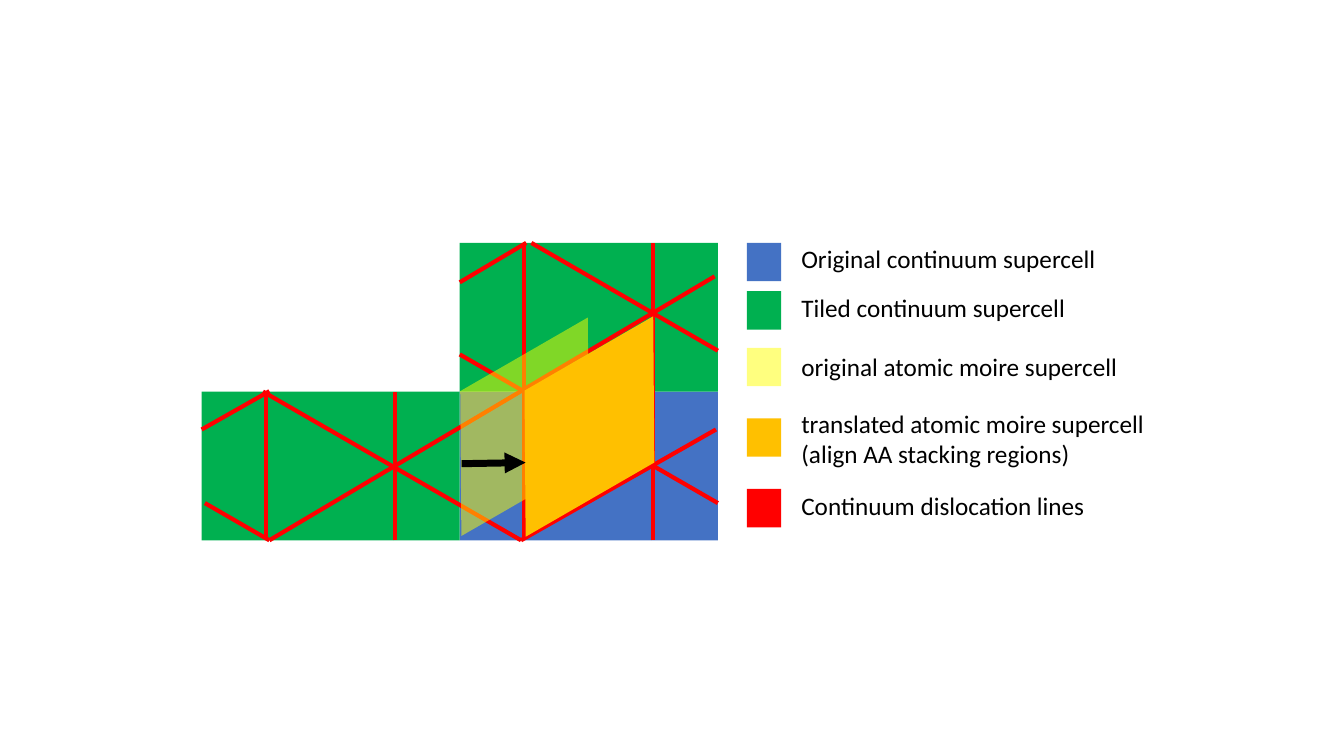
"""Builds the slide on supercell tiling and dislocation lines."""
from lxml.etree import SubElement
from pptx import Presentation
from pptx.dml.color import RGBColor
from pptx.enum.shapes import MSO_CONNECTOR as Connector, MSO_SHAPE as Shape
from pptx.oxml.ns import qn
from pptx.util import Inches, Pt

BLUE, GREEN, YELLOW, GOLD, RED, BLACK = (
    "4472C4", "00B050", "FFFF00", "FFC000", "FF0000", "000000")
LEFT, TOP = 2, 2.41
COLUMN, ROW = 0.64, 2.95 / 8
CELL = (4, 4)
SWATCH = (0.53, 1.03)
SWATCH_COLUMN, LABEL_COLUMN = 8.45, 9.14

SUPERCELLS = [(4, 4, BLUE), (4, 0, GREEN), (0, 4, GREEN)]
DISLOCATIONS = [
    ((4, 3), (8, 7)), ((5.11, 0), (8, 2.9)), ((0.95, 4), (4.95, 8)),
    ((0.05, 7), (1.05, 8)), ((1.05, 8), (7.95, 0.9)), ((4.95, 8), (7.97, 5.02)),
    ((0, 5.02), (1.05, 3.99)), ((5, 8), (5, 0)), ((7, 8), (7, 0)),
    ((3, 8), (3, 4)), ((1, 8), (1, 4)), ((4, 1.06), (5.03, 0)),
]
MOIRE_CELLS = [
    (3.31, 3.25, 3.39, YELLOW, 50),
    (4.3, 3.23, 3.42, GOLD, 100),
]
SHIFT = ((4.03, 5.94), (5.02, 5.91))
LEGEND = [
    (0, -0.11, 4.92, BLUE, 100, ["Original continuum supercell"]),
    (1.3, 1.19, 4.45, GREEN, 100, ["Tiled continuum supercell"]),
    (2.82, 2.77, 5.27, YELLOW, 50, ["original atomic moire supercell"]),
    (4.72, 4.31, 5.69, GOLD, 100,
     ["translated atomic moire supercell", "(align AA stacking regions)"]),
    (6.62, 6.51, 4.78, RED, 100, ["Continuum dislocation lines"]),
]


def color(value):
    return RGBColor.from_string(value)


def point(column, row):
    return Inches(LEFT + column * COLUMN), Inches(TOP + row * ROW)


def size(columns, rows):
    return Inches(columns * COLUMN), Inches(rows * ROW)


def add_area(page, kind, corner, extent, fill, opacity=100):
    area = page.shapes.add_shape(kind, *point(*corner), *size(*extent))
    area.shadow.inherit = False
    area.fill.solid()
    area.fill.fore_color.rgb = color(fill)
    area.line.fill.background()
    if opacity < 100:
        tint = next(area._element.spPr.iter(qn("a:srgbClr")))
        SubElement(tint, qn("a:alpha"), val=str(opacity * 1000))
    return area


def add_line(page, start, end, stroke, width, arrow=False):
    line = page.shapes.add_connector(Connector.STRAIGHT, *point(*start), *point(*end))
    line.line.color.rgb = color(stroke)
    line.line.width = Pt(width)
    if arrow:
        SubElement(line.line._get_or_add_ln(), qn("a:tailEnd"), type="triangle")
    SubElement(line._element.spPr, qn("a:effectLst"))


def add_text(page, lines, corner, columns, font="Calibri", points=18, ink=BLACK):
    width, height = Inches(columns * COLUMN), Inches(0.1 + 0.3 * len(lines))
    frame = page.shapes.add_textbox(*point(*corner), width, height).text_frame
    frame.word_wrap = False
    frame.text = "\n".join(lines)
    for para in frame.paragraphs:
        for span in para.runs:
            span.font.name = font
            span.font.size = Pt(points)
            span.font.color.rgb = color(ink)


def main():
    deck = Presentation()
    deck.slide_width, deck.slide_height = Inches(13.33), Inches(7.5)
    page = deck.slides.add_slide(deck.slide_layouts[6])
    for column, row, fill in SUPERCELLS:
        add_area(page, Shape.RECTANGLE, (column, row), CELL, fill)
    for start, end in DISLOCATIONS:
        add_line(page, start, end, RED, 3)
    for column, row, side, fill, opacity in MOIRE_CELLS:
        moire = add_area(page, Shape.PARALLELOGRAM, (column, row), (side, side), fill, opacity)
        moire.adjustments[0] = 0.567
        moire.rotation = 330
    add_line(page, *SHIFT, BLACK, 5, arrow=True)
    for row, label_row, columns, fill, opacity, lines in LEGEND:
        add_area(page, Shape.RECTANGLE, (SWATCH_COLUMN, row), SWATCH, fill, opacity)
        add_text(page, lines, (LABEL_COLUMN, label_row), columns)
    deck.save("out.pptx")


if __name__ == "__main__":
    main()
